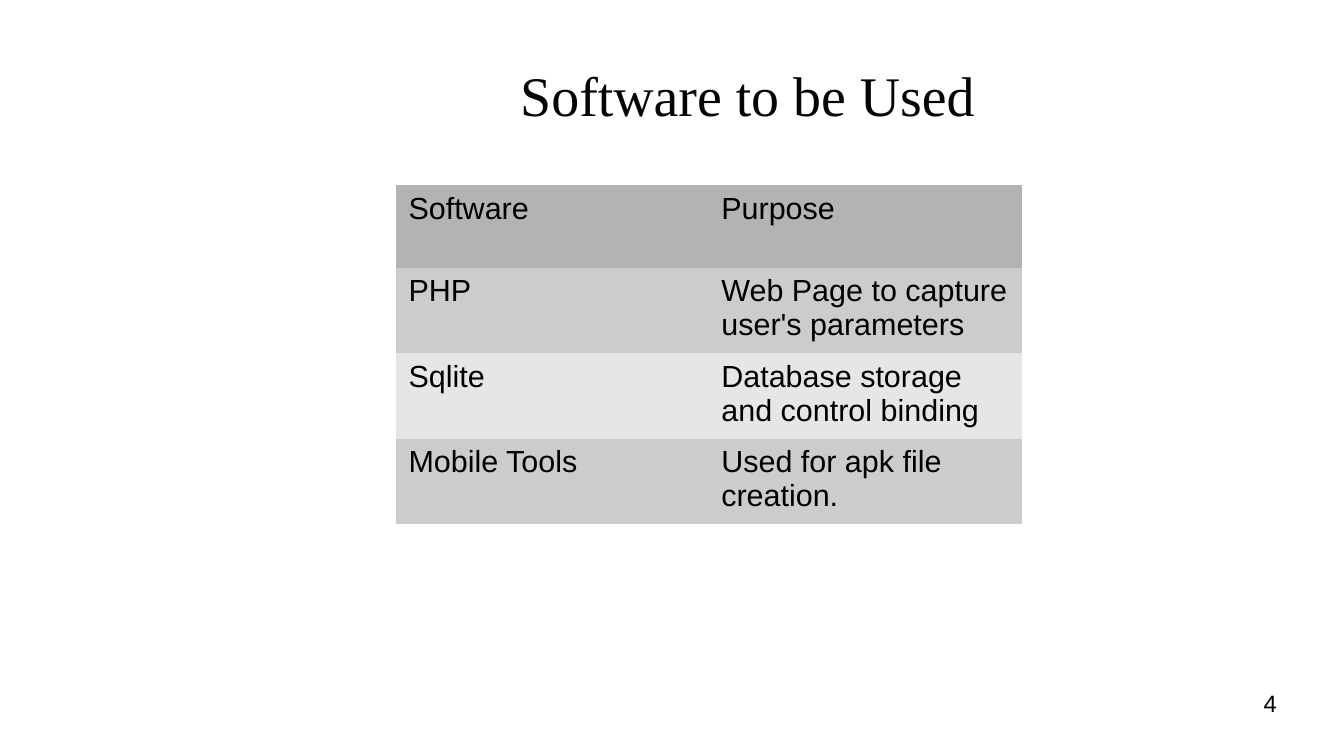
"""Build the slide that lists the software to be used."""
from pptx import Presentation
from pptx.dml.color import RGBColor
from pptx.enum.text import MSO_ANCHOR as Anchor, PP_ALIGN as Align
from pptx.util import Inches, Pt

COLORS = {
    "title": "050505",
    "text": "000000",
    "header": "B3B3B3",
    "odd": "CCCCCC",
    "even": "E6E6E6",
}
SOFTWARE = [
    ("Software", "Purpose"),
    ("PHP", "Web Page to capture user's parameters"),
    ("Sqlite", "Database storage and control binding"),
    ("Mobile Tools", "Used for apk file creation."),
]


def color(name):
    return RGBColor.from_string(COLORS[name])


def add_run(paragraph, text, size, font="Arial", ink="text"):
    run = paragraph.add_run()
    run.text = text
    run.font.size = Pt(size)
    run.font.name = font
    run.font.color.rgb = color(ink)


def set_margins(target, horizontal, vertical):
    target.margin_left = target.margin_right = Inches(horizontal)
    target.margin_top = target.margin_bottom = Inches(vertical)


def add_text(slide, box, text, size, align, anchor=Anchor.TOP, **style):
    frame = slide.shapes.add_textbox(*map(Inches, box)).text_frame
    frame.word_wrap = True
    frame.vertical_anchor = anchor
    set_margins(frame, 0, 0)
    paragraph = frame.paragraphs[0]
    paragraph.alignment = align
    add_run(paragraph, text, size, **style)


def add_title(slide, box):
    add_text(slide, box, "Software to be Used", 33, Align.CENTER, Anchor.MIDDLE,
             font="Times New Roman", ink="title")


def add_software_table(slide, box):
    table = slide.shapes.add_table(
        len(SOFTWARE), len(SOFTWARE[0]), *map(Inches, box)).table
    for row_index, texts in enumerate(SOFTWARE):
        band = "header" if row_index == 0 else "odd" if row_index % 2 else "even"
        for column_index, text in enumerate(texts):
            cell = table.cell(row_index, column_index)
            cell.fill.solid()
            cell.fill.fore_color.rgb = color(band)
            set_margins(cell, 0.1, 0.05)
            add_run(cell.text_frame.paragraphs[0], text, 18)
    table.first_row = table.horz_banding = False
    style_id = table._tbl.tblPr.find("{*}tableStyleId")
    style_id.text = "{2D5ABB26-0587-4C30-8999-92F81FD0307C}"


def add_page_number(slide, box):
    add_text(slide, box, "4", 14, Align.RIGHT)


def main():
    presentation = Presentation()
    presentation.slide_width = Inches(11.02)
    presentation.slide_height = Inches(6.2)
    slide = presentation.slides.add_slide(presentation.slide_layouts[6])
    add_title(slide, (1.79, 0.25, 8.68, 1.04))
    add_software_table(slide, (3.25, 1.52, 5.13, 2.71))
    add_page_number(slide, (7.9, 5.65, 2.57, 0.43))
    presentation.save("out.pptx")


main()
